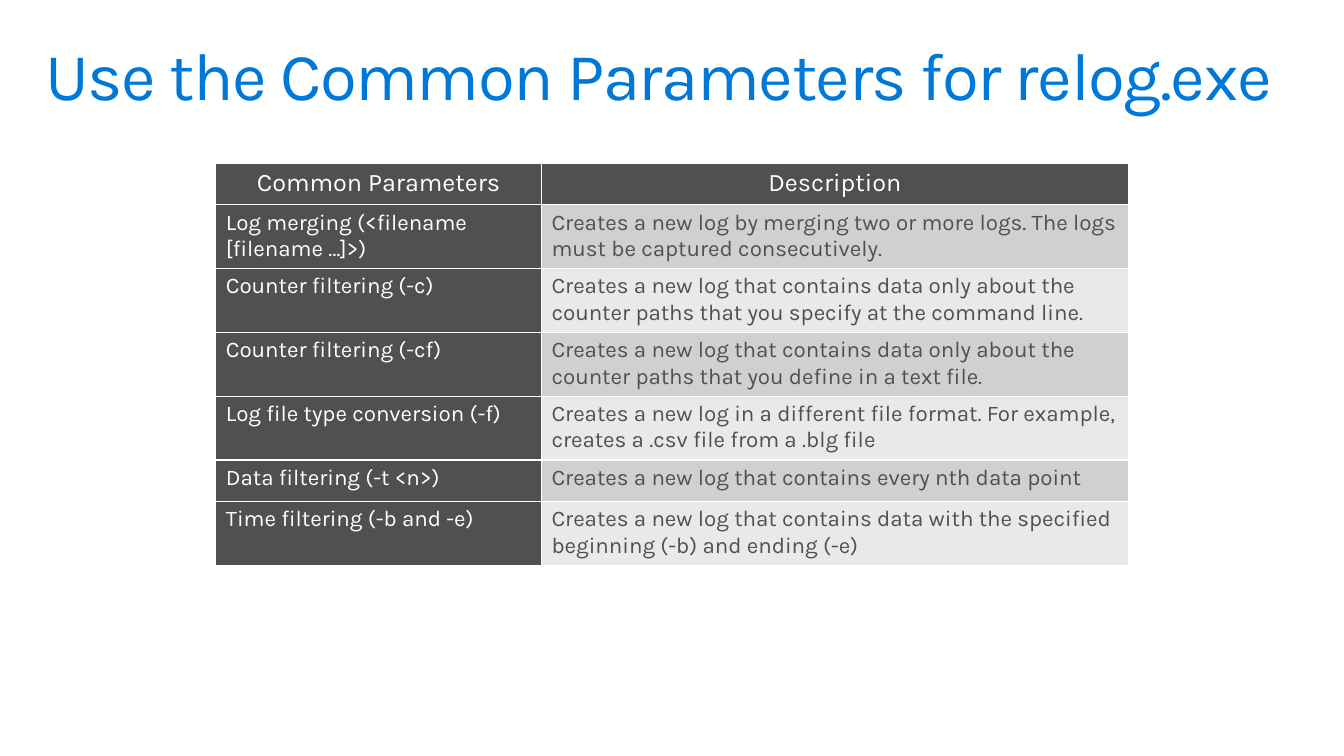
from lxml import etree
from pptx import Presentation
from pptx.dml.color import RGBColor
from pptx.enum.text import PP_ALIGN
from pptx.oxml.ns import qn
from pptx.util import Inches, Pt

CENTER, LEFT = PP_ALIGN.CENTER, PP_ALIGN.LEFT
BLUE = RGBColor(0x00, 0x78, 0xD7)
DARK = RGBColor(0x50, 0x50, 0x50)
MID = RGBColor(0xD0, 0xD0, 0xD0)
LIGHT = RGBColor(0xE9, 0xE9, 0xE9)
WHITE = RGBColor(0xFF, 0xFF, 0xFF)

COL_WIDTHS = [3.23, 5.82]
ONE_LINE, TWO_LINES = 0.41, 0.63
ROWS = [
    (ONE_LINE, "Common Parameters", "Description"),
    (TWO_LINES, "Log merging (<filename [filename …]>)",
     "Creates a new log by merging two or more logs. The logs must be captured consecutively."),
    (TWO_LINES, "Counter filtering (-c)",
     "Creates a new log that contains data only about the counter paths that you specify at the command line."),
    (TWO_LINES, "Counter filtering (-cf)",
     "Creates a new log that contains data only about the counter paths that you define in a text file."),
    (TWO_LINES, "Log file type conversion (-f)",
     "Creates a new log in a different file format. For example, creates a .csv file from a .blg file"),
    (ONE_LINE, "Data filtering (-t <n>)",
     "Creates a new log that contains every nth data point"),
    (TWO_LINES, "Time filtering (-b and -e)",
     "Creates a new log that contains data with the specified beginning (-b) and ending (-e)"),
]


class SlideBuilder:
    font = "Karla"

    def __init__(self, slide):
        self.slide = slide

    def format_run(self, r, size, color):
        r.font.name = self.font
        r.font.size = Pt(size)
        r.font.bold = False
        r.font.color.rgb = color

    def title(self, text, left, top, width, height):
        sp = self.slide.shapes.add_textbox(
            Inches(left), Inches(top), Inches(width), Inches(height))
        tf = sp.text_frame
        tf.word_wrap = True
        tf.margin_left = tf.margin_right = Inches(0.16)
        tf.margin_top = tf.margin_bottom = Inches(0.1)
        tf.text = text
        p = tf.paragraphs[0]
        p.line_spacing = 0.9
        r = p.runs[0]
        self.format_run(r, 48, BLUE)
        r.font._element.set("spc", "-100")

    def borders(self, cell):
        tc_pr = cell._tc.get_or_add_tcPr()
        for side in ("a:lnL", "a:lnR", "a:lnT", "a:lnB"):
            ln = etree.SubElement(tc_pr, qn(side), w=str(Pt(1)))
            fill = etree.SubElement(ln, qn("a:solidFill"))
            etree.SubElement(fill, qn("a:srgbClr"), val=str(WHITE))

    def cell(self, cell, text, size, color, fill, align):
        self.borders(cell)
        cell.fill.solid()
        cell.fill.fore_color.rgb = fill
        cell.text = text
        p = cell.text_frame.paragraphs[0]
        p.alignment = align
        self.format_run(p.runs[0], size, color)

    def table(self, rows, col_widths, left, top):
        height = sum(row[0] for row in rows)
        table = self.slide.shapes.add_table(
            len(rows), len(col_widths), Inches(left), Inches(top),
            Inches(sum(col_widths)), Inches(height)).table
        for column, width in zip(table.columns, col_widths):
            column.width = Inches(width)
        for i, (row_height, *texts) in enumerate(rows):
            table.rows[i].height = Inches(row_height)
            header = i == 0
            size, align = (18, CENTER) if header else (16, LEFT)
            for j, text in enumerate(texts):
                if header or j == 0:
                    color, fill = WHITE, DARK
                else:
                    color, fill = DARK, MID if i % 2 else LIGHT
                self.cell(table.cell(i, j), text, size, color, fill, align)


def main():
    prs = Presentation()
    prs.slide_width, prs.slide_height = Inches(13.33), Inches(7.5)
    s = SlideBuilder(prs.slides.add_slide(prs.slide_layouts[6]))
    s.title("Use the Common Parameters for relog.exe", 0.29, 0.32, 12.75, 0.98)
    s.table(ROWS, COL_WIDTHS, 2.14, 1.62)
    prs.save("out.pptx")


if __name__ == "__main__":
    main()
